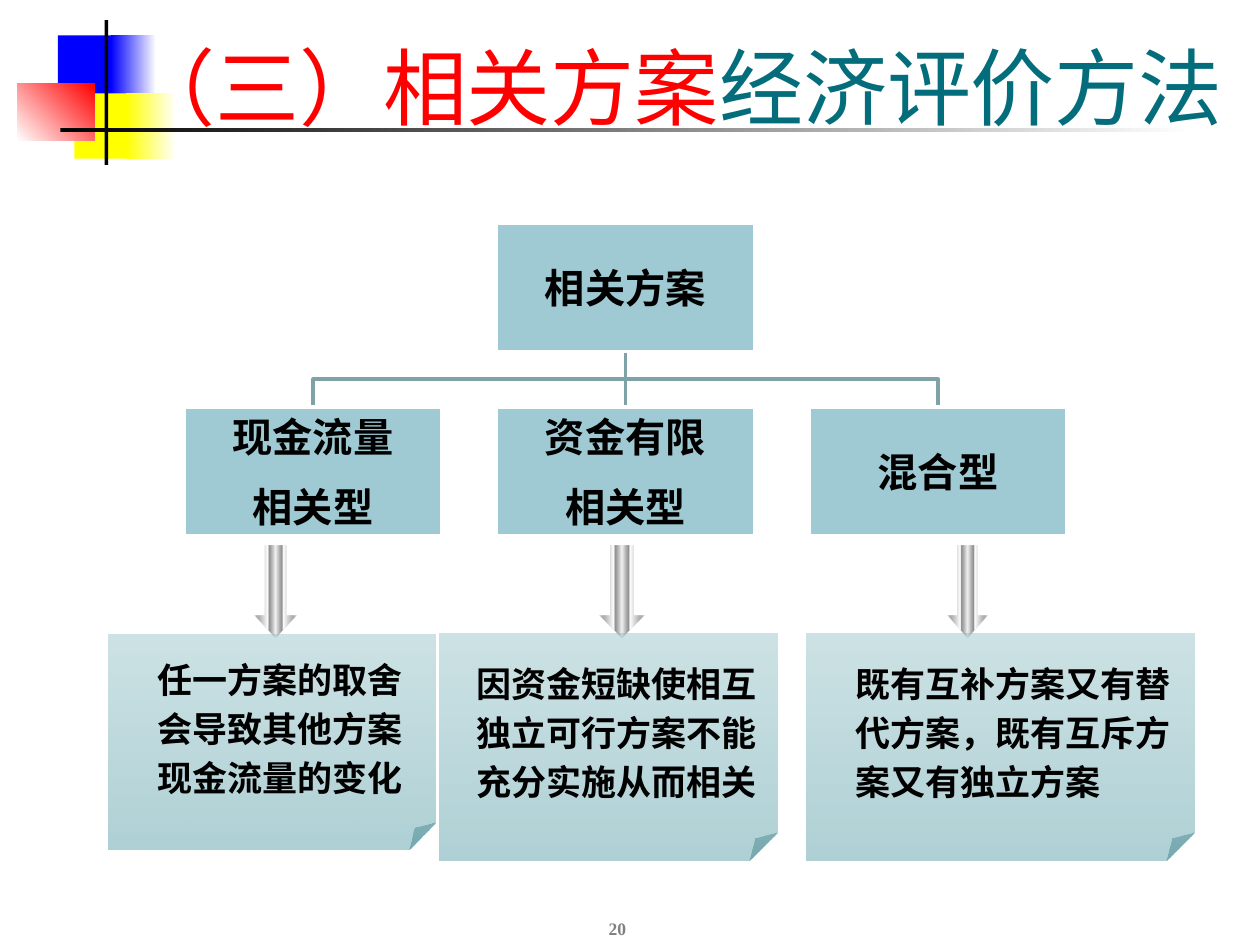
from pptx import Presentation, util as u
from pptx.dml.color import RGBColor
from pptx.enum import shapes as sh, text as tx
from pptx.oxml.ns import qn
from lxml import etree

HUE = {"blue": "0000FF", "gold": "FFFF00", "red": "FF0000", "black": "000000",
       "white": "FFFFFF", "teal": "036D7B", "sage": "579EA7", "node": "9FCAD3",
       "link": "7FA2A9", "gray": "808080"}
KIND = sh.MSO_SHAPE
MID, LOW = tx.MSO_ANCHOR.MIDDLE, tx.MSO_ANCHOR.BOTTOM
LEFT, CENTER = tx.PP_ALIGN.LEFT, tx.PP_ALIGN.CENTER

deck = Presentation()
deck.slide_width, deck.slide_height = u.Inches(10), u.Inches(7.5)
page = deck.slides.add_slide(deck.slide_layouts[5])
tree = page.shapes


def box(kind, at, fill):
    """Add a shape; fill is a hex string or (clockwise angle, stops)."""
    form = tree.add_shape(kind, *map(u.Inches, at))
    form.shadow.inherit = False
    form.line.fill.background()
    if isinstance(fill, str):
        form.fill.solid()
        form.fill.fore_color.rgb = RGBColor.from_string(fill)
        return form
    turn, stops = fill
    form.fill.gradient()
    form.fill.gradient_angle = -turn % 360
    ramp = form._element.spPr.find(".//" + qn("a:gsLst"))
    for old in list(ramp):
        ramp.remove(old)
    for pos, hue, alpha in stops:
        stop = etree.SubElement(ramp, qn("a:gs"), pos=str(pos * 1000))
        tint = etree.SubElement(stop, qn("a:srgbClr"), val=hue)
        if alpha < 100:
            etree.SubElement(tint, qn("a:alpha"), val=str(alpha * 1000))
    return form


def write(form, lines, look, font, gap=(0, 0)):
    """Fill a text frame; each line is a list of (words, hex) runs."""
    frame = form.text_frame
    frame.word_wrap = True
    for name, val in look.items():
        setattr(frame, name, val)
    for i, line in enumerate(lines):
        par = frame.paragraphs[0] if i == 0 else frame.add_paragraph()
        par.alignment = font["align"]
        par.space_before = u.Pt(gap[0] if i else 0)
        par.space_after = u.Pt(gap[1])
        if font.get("indent"):
            par._p.get_or_add_pPr().set("marL", str(u.Inches(font["indent"])))
            par._p.get_or_add_pPr().set("indent", "0")
        for words, hue in line:
            run = par.add_run()
            run.text = words
            style = {"name": "Times New Roman", "size": u.Pt(font["size"]), "bold": font["bold"]}
            for name, val in style.items():
                setattr(run.font, name, val)
            run.font.color.rgb = RGBColor.from_string(hue)


# Corner ornament and title rule
white = HUE["white"]
ORNAMENT = [
    ((0.46, 0.28, 0.48, 0.52), HUE["blue"]),
    ((0.88, 0.28, 0.36, 0.52), (0, [(0, HUE["blue"], 100), (100, white, 100)])),
    ((0.59, 0.74, 0.46, 0.52), HUE["gold"]),
    ((1, 0.74, 0.4, 0.52), (0, [(0, HUE["gold"], 100), (100, white, 100)])),
    ((0.14, 0.66, 0.61, 0.46), (315, [(0, white, 100), (100, HUE["red"], 100)])),
    ((0.83, 0.16, 0.03, 1.15), HUE["black"]),
    ((0.48, 1.02, 9, 0.03), (0, [(0, HUE["black"], 100), (100, white, 100)])),
]
for at, fill in ORNAMENT:
    box(KIND.RECTANGLE, at, fill)

# Title, in front of the ornament
title = tree.title
for name, val in zip(("left", "top", "width", "height"), (0.94, 0.21, 9.06, 0.92)):
    setattr(title, name, u.Inches(val))
write(title, [[("（三）相关方案", HUE["red"]), ("经济评价方法", HUE["teal"])]],
      {"vertical_anchor": LOW, "auto_size": tx.MSO_AUTO_SIZE.NONE},
      {"size": 48, "bold": False, "align": LEFT})
tree._spTree.append(title._element)

# Page number
num = tree.add_textbox(*map(u.Inches, (3.86, 7, 2.08, 0.5)))
write(num, [[("20", HUE["gray"])]], {"vertical_anchor": LOW},
      {"size": 10, "bold": True, "align": CENTER})

# Metal arrows: half a gradient, mirrored about its middle
half = [(0, "CBCBCB", 48), (6, "5F5F5F", 49), (11, "5F5F5F", 50), (32, "FFFFFF", 54),
        (34, "B2B2B2", 55), (34, "292929", 55), (41, "777777", 56)]
metal = half + [(50, "EAEAEA", 58)] + [(100 - p, c, a) for p, c, a in reversed(half)]
for left, wide in ((2.02, 0.33), (4.76, 0.35), (7.52, 0.32)):
    arrow = box(KIND.DOWN_ARROW, (left, 4.33, wide, 0.73), (0, metal))
    arrow.adjustments[1] = 0.18 / wide

# Explanatory notes; the fold size has no public setting
NOTES = [
    ((0.86, 5.04, 2.6, 1.7), 0.29, ("任一方案的取舍", "会导致其他方案", "现金流量的变化")),
    ((3.49, 5.03, 2.68, 1.8), 0.19, ("因资金短缺使相互", "独立可行方案不能", "充分实施从而相关")),
    ((6.4, 5.03, 3.08, 1.8), 0.29, ("既有互补方案又有替", "代方案，既有互斥方", "案又有独立方案")),
]
for at, indent, lines in NOTES:
    note = box(KIND.FOLDED_CORNER, at, (90, [(0, HUE["sage"], 30), (100, HUE["teal"], 32)]))
    fold = note._element.spPr.find(".//" + qn("a:avLst"))
    etree.SubElement(fold, qn("a:gd"), name="adj", fmla="val 12500")
    write(note, [[(line, HUE["black"])] for line in lines], {"vertical_anchor": MID},
          {"size": 20, "bold": True, "align": LEFT, "indent": indent}, (4, 0))

# Tree grid
X, Y, DX, DY, W, H = 1.46, 1.77, 2.48, 1.46, 2.05, 1.02
axis = X + DX + W / 2
foot, leaf = Y + H, Y + DY
bend = (foot + leaf) / 2

# Links behind the nodes
stem = tree.add_connector(sh.MSO_CONNECTOR.STRAIGHT, *map(u.Inches, (axis, foot, axis, leaf)))
etree.SubElement(stem._element.spPr, qn("a:effectLst"))
links = [stem]
for end in (axis - DX, axis + DX):
    route = [tuple(map(u.Inches, p)) for p in ((axis, foot), (axis, bend), (end, bend), (end, leaf))]
    pen = tree.build_freeform(*route[0])
    pen.add_line_segments(route[1:], close=False)
    elbow = pen.convert_to_shape()
    elbow.shadow.inherit = False
    elbow.fill.background()
    links.append(elbow)
for link in links:
    link.line.color.rgb = RGBColor.from_string(HUE["link"])
    link.line.width = u.Pt(2)

# Nodes by column and row
NODES = [(1, 0, ("相关方案",)), (0, 1, ("现金流量", "相关型")),
         (1, 1, ("资金有限", "相关型")), (2, 1, ("混合型",))]
pad = {f"margin_{side}": u.Inches(0.02) for side in ("left", "top", "right", "bottom")}
cells = {}
for col, row, lines in NODES:
    node = box(KIND.RECTANGLE, (X + col * DX, Y + row * DY, W, H), HUE["node"])
    node.line.color.rgb = RGBColor.from_string(white)
    node.line.width = u.Pt(2)
    write(node, [[(line, HUE["black"])] for line in lines], {"vertical_anchor": MID, **pad},
          {"size": 23, "bold": True, "align": CENTER}, (4.6, 8.05))
    cells[col, row] = node
stem.begin_connect(cells[1, 0], 2)
stem.end_connect(cells[1, 1], 0)

deck.save("out.pptx")
